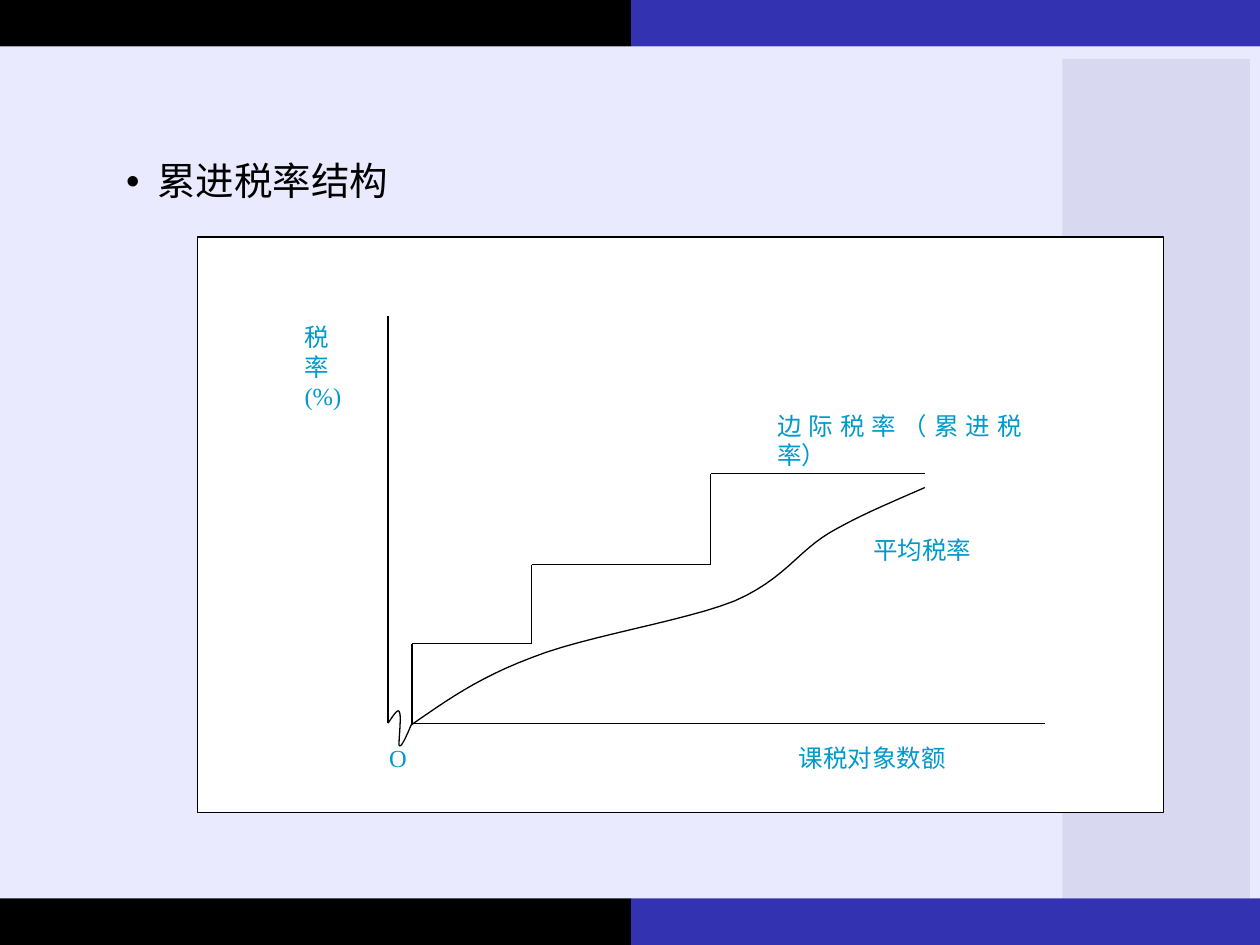
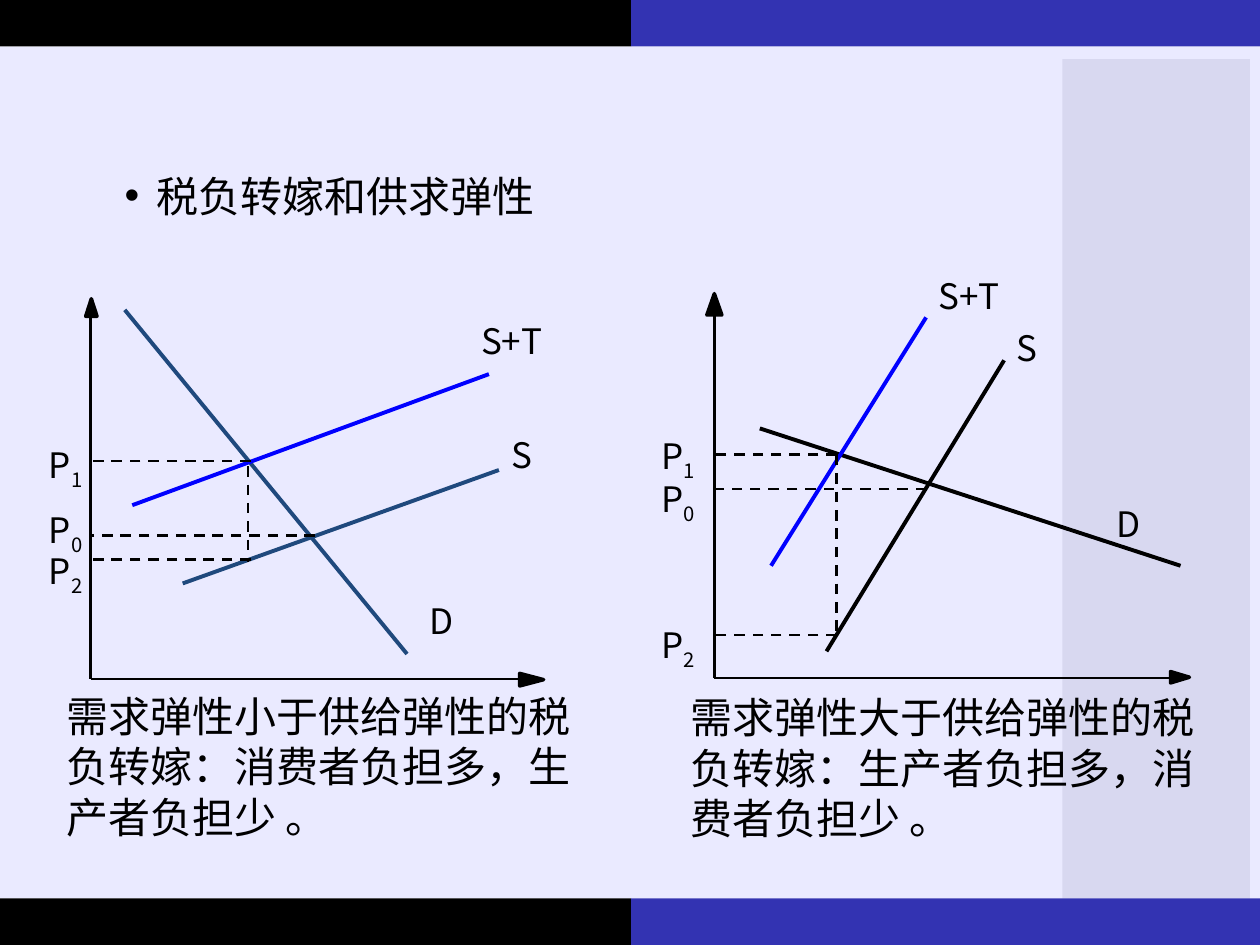
import pptx
import pptx.util
import pptx.dml.color
import pptx.enum.dml
import pptx.enum.shapes
import pptx.enum.text
import pptx.oxml
import pptx.oxml.ns
import lxml.etree

Pt = pptx.util.Pt
SHAPE = pptx.enum.shapes.MSO_SHAPE
ALIGN = pptx.enum.text.PP_ALIGN
SANS = "Noto Sans CJK SC"
SERIF = "Times New Roman"
W, H = 720, 540
BAND_H, SPLIT = 26.6, 360.7

C = {
    "black": "000000",
    "white": "FFFFFF",
    "indigo": "3333B2",
    "lavender": "EAEAFF",
    "column": "D8D8F0",
    "cyan": "0099CC",
    "navy": "1F497D",
    "blue": "0000FF",
}

LEFT_MARKET = {
    "origin": (31.8, 218.1),
    "axis_top": 9.3,
    "axis_right": 282.4,
    "up_head": (32.2, 5.7, 6.5, 10),
    "right_head": (283.8, 218.4, 7.2, 13.7),
    "curves": [
        ("D", (51.3, 7.1), (212.6, 203.7), "navy", (218.3, 169.1)),
        ("S+T", (55.6, 118.7), (259.4, 43.8), "blue", (247.8, 9.3)),
        ("S", (84.4, 163.4), (265.1, 98.6), "navy", (265.1, 74.1)),
    ],
    "prices": [
        ("0", 160, 136, 117.3),
        ("1", 123.3, 93.5, 79.8),
        ("2", 123.3, 149.7, 140.3),
    ],
    "tax_gap": (121.8, 96.4, 151.1),
    "caption": (11, 221, 311.8, 83),
    "text": "需求弹性小于供给弹性的税负转嫁：消费者负担多，生产者负担少 。",
}

RIGHT_MARKET = {
    "origin": (38.2, 237.4),
    "axis_top": 26.4,
    "axis_right": 298.9,
    "up_head": (38.2, 23.9, 8.6, 12.2),
    "right_head": (304.3, 237, 6.5, 10.8),
    "curves": [
        ("D", (64.2, 94.8), (304.6, 173.3), "black", (260.7, 133.7)),
        ("S+T", (159.2, 31.4), (70.6, 173.3), "blue", (159.2, 3.4)),
        ("S", (203.8, 55.9), (102.3, 222.2), "black", (203.8, 32.9)),
    ],
    "prices": [
        ("0", 159.2, 129.4, 119.3),
        ("1", 108.1, 109.9, 94.8),
        ("2", 108.1, 212.9, 202.8),
    ],
    "tax_gap": (108.1, 109.9, 212.9),
    "caption": (17.4, 241.7, 324.7, 94),
    "text": "需求弹性大于供给弹性的税负转嫁：生产者负担多，消费者负担少 。",
}

AVERAGE_RATE = [
    (122.4, 278.6), (141.2, 265.6), (159.9, 252), (190.8, 240.4),
    (221.1, 228.2), (278, 219.6), (306.8, 208),
    (334.8, 195.8), (342.8, 180), (360.8, 169.2),
    (379.5, 158.4), (397.5, 151.2), (415.5, 143.2),
]

AXIS_BREAK = [
    (108.8, 277.9), (111.6, 273.6), (114.5, 269.2), (115.2, 271.4),
    (116.7, 273.6), (114.5, 289.4), (115.2, 290.8),
    (116.7, 291.6), (119.6, 284.4), (122.4, 277.9),
]


def rgb(name):
    return pptx.dml.color.RGBColor.from_string(C[name])


def add_box(s, shape, x, y, w, h, fill, line=None, width=0.75):
    sp = s.shapes.add_shape(shape, Pt(x), Pt(y), Pt(w), Pt(h))
    sp.shadow.inherit = False
    sp.fill.solid()
    sp.fill.fore_color.rgb = rgb(fill)
    if line:
        sp.line.color.rgb = rgb(line)
        sp.line.width = Pt(width)
    else:
        sp.line.fill.background()
    return sp


def add_line(s, box, start, end, color="black", width=0.75, dashed=False):
    x, y = box
    cn = s.shapes.add_connector(
        pptx.enum.shapes.MSO_CONNECTOR.STRAIGHT,
        Pt(x + start[0]), Pt(y + start[1]), Pt(x + end[0]), Pt(y + end[1]))
    cn.line.color.rgb = rgb(color)
    cn.line.width = Pt(width)
    if dashed:
        cn.line.dash_style = pptx.enum.dml.MSO_LINE.DASH
    lxml.etree.SubElement(cn.element.spPr, pptx.oxml.ns.qn("a:effectLst"))


def style_run(r, size, font, color):
    r.font.size = Pt(size)
    r.font.name = font
    r.font.color.rgb = rgb(color)
    ea = lxml.etree.Element(pptx.oxml.ns.qn("a:ea"), typeface=SANS)
    r.font._element.find(pptx.oxml.ns.qn("a:latin")).addnext(ea)


def add_text(s, box, at, text, size, font=SANS, color="black", align=ALIGN.LEFT, sub=""):
    x, y, w, h = at
    sp = s.shapes.add_textbox(Pt(box[0] + x), Pt(box[1] + y), Pt(w), Pt(h))
    tf = sp.text_frame
    tf.word_wrap = True
    tf.text = text
    p = tf.paragraphs[0]
    p.alignment = align
    if sub:
        r = p.add_run()
        r.text = sub
    for r in p.runs:
        style_run(r, size, font, color)
    if sub:
        p.runs[1].font._element.set("baseline", "-25000")


def add_curve(s, box, points, steps=12):
    nodes = [points[0]]
    for i in range(0, len(points) - 1, 3):
        a, b, c, d = points[i:i + 4]
        for k in range(1, steps + 1):
            t = k / steps
            u = 1 - t
            nodes.append(tuple(
                u ** 3 * a[j] + 3 * u * u * t * b[j] + 3 * u * t * t * c[j] + t ** 3 * d[j]
                for j in (0, 1)))
    nodes = [(Pt(box[0] + x), Pt(box[1] + y)) for x, y in nodes]
    fb = s.shapes.build_freeform(*nodes[0], scale=1)
    fb.add_line_segments(nodes[1:], close=False)
    sp = fb.convert_to_shape()
    sp.shadow.inherit = False
    sp.fill.background()
    sp.line.color.rgb = rgb("black")
    sp.line.width = Pt(0.75)


def dress_layout(layout, s):
    bands = [(0, BAND_H, W, H - 2 * BAND_H, "lavender"),
             (607, 33.8, 107.3, H - BAND_H - 33.8, "column")]
    for y in (0, H - BAND_H):
        bands += [(0, y, SPLIT, BAND_H, "black"), (SPLIT, y, W - SPLIT, BAND_H, "indigo")]
    for i, (x, y, w, h, fill) in enumerate(bands):
        sp = add_box(s, SHAPE.RECTANGLE, x, y, w, h, fill)
        layout.shapes.element.insert(2 + i, sp.element)


def set_heading(s, box, text, size, spacing):
    sp = s.shapes.title
    sp.left, sp.top, sp.width, sp.height = map(Pt, box)
    tf = sp.text_frame
    tf.text = text
    tf.word_wrap = True
    tf.auto_size = pptx.enum.text.MSO_AUTO_SIZE.NONE
    tf.vertical_anchor = pptx.enum.text.MSO_ANCHOR.TOP
    p = tf.paragraphs[0]
    p.alignment = ALIGN.LEFT
    p.line_spacing = spacing
    p.space_before = Pt(10)
    pPr = p._p.get_or_add_pPr()
    pPr.set("marL", str(Pt(18)))
    pPr.set("indent", str(-Pt(18)))
    for tag, key, value in (("a:buFont", "typeface", "Arial"), ("a:buChar", "char", "•")):
        lxml.etree.SubElement(pPr, pptx.oxml.ns.qn(tag)).set(key, value)
    style_run(p.runs[0], size, SANS, "black")


def draw_tax_rates(s, x, y, w, h):
    box = (x, y)
    add_box(s, SHAPE.RECTANGLE, x, y, w, h, "white", "black")
    base = 277.9
    add_line(s, box, (122.4, base), (483.9, base))
    add_line(s, box, (108.8, base), (108.8, 45.3))

    stairs = [(122.4, base)]
    for level, right in ((232.5, 190.8), (187.2, 293.1), (135.3, 415.5)):
        stairs += [(stairs[-1][0], level), (right, level)]
    for start, end in zip(stairs, stairs[1:]):
        add_line(s, box, start, end)

    add_curve(s, box, AVERAGE_RATE)
    add_curve(s, box, AXIS_BREAK)
    for text, at in (("税 率 (%)", (54, 45.3, 41, 58)),
                     ("O", (102.3, 285.8, 40, 24)),
                     ("课税对象数额", (336.3, 285.8, 130, 24)),
                     ("平均税率", (378.8, 167, 74, 24)),
                     ("边际税率（累进税率）", (324, 95.7, 154, 41))):
        add_text(s, box, at, text, 14, SERIF, "cyan", ALIGN.JUSTIFY)


def draw_market(s, x, y, m):
    box = (x, y)
    ox, oy = m["origin"]
    add_line(s, box, (ox, m["axis_top"]), (ox, oy), width=1.5)
    add_line(s, box, (ox, oy), (m["axis_right"], oy), width=1.5)
    for key, turn in (("up_head", 0), ("right_head", 90)):
        cx, cy, w, h = m[key]
        head = add_box(s, SHAPE.ISOSCELES_TRIANGLE, x + cx - w / 2, y + cy - h / 2,
                       w, h, "black", "black", 2)
        head.rotation = turn
    for name, start, end, color, (lx, ly) in m["curves"]:
        add_line(s, box, start, end, color, 2.25)
        add_text(s, box, (lx, ly, 76, 27.4), name, 20)
    for sub, right, level, label_y in m["prices"]:
        add_line(s, box, (right, level), (ox, level), width=1.5, dashed=True)
        add_text(s, box, (0.9, label_y, 76, 27.4), "P", 20, sub=sub)
    gx, top, bottom = m["tax_gap"]
    add_line(s, box, (gx, top), (gx, bottom), width=1.5, dashed=True)
    add_text(s, box, m["caption"], m["text"], 24)


def main():
    prs = pptx.Presentation()
    prs.slide_width, prs.slide_height = Pt(W), Pt(H)
    layout = prs.slide_layouts[5]

    s = prs.slides.add_slide(layout)
    dress_layout(layout, s)
    set_heading(s, (64.8, 89.3, 541.4, 40), "累进税率结构", 22, 0.9)
    draw_tax_rates(s, 113, 135.4, 552, 329)

    s = prs.slides.add_slide(layout)
    set_heading(s, (64, 90.7, 574, 50), "税负转嫁和供求弹性", 24, 1.1)
    draw_market(s, 20, 170, LEFT_MARKET)
    draw_market(s, 370, 150, RIGHT_MARKET)

    prs.save("out.pptx")


if __name__ == "__main__":
    main()
